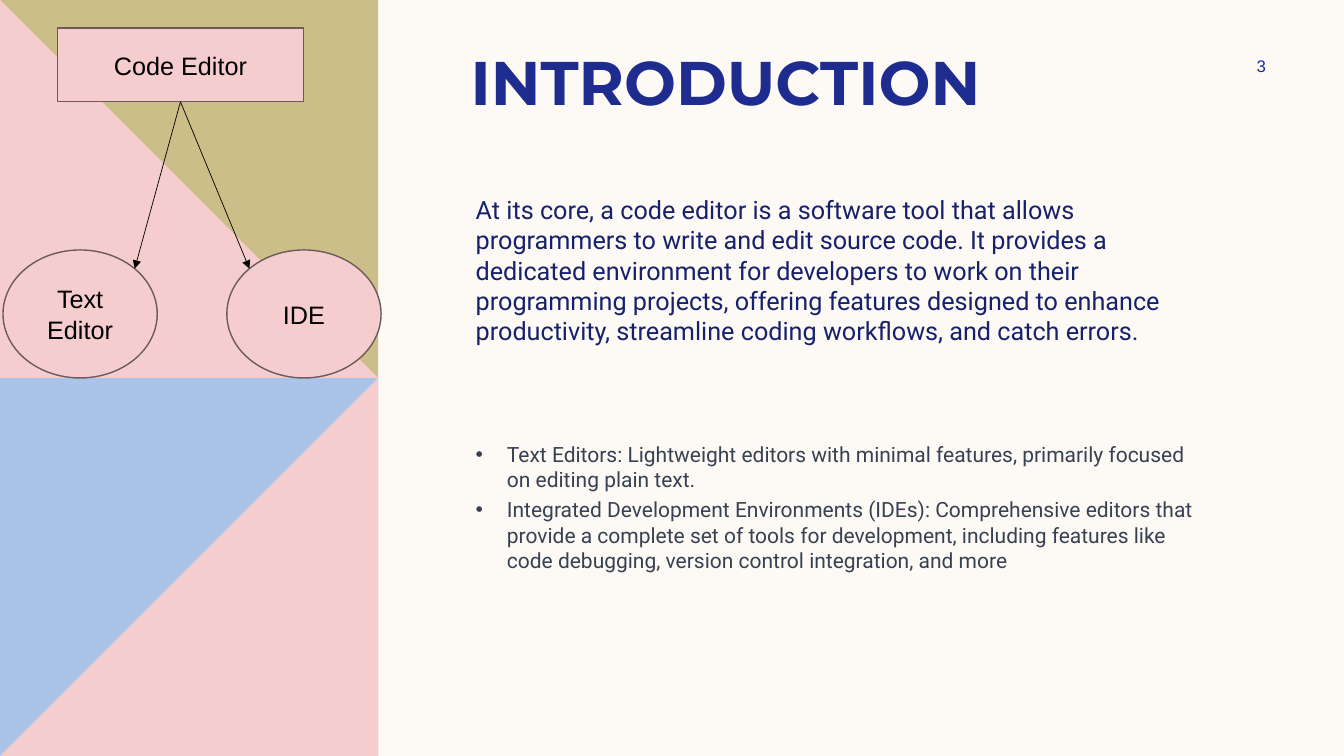
from math import sqrt

from lxml.etree import SubElement
from pptx import Presentation
from pptx.dml.color import RGBColor
from pptx.enum.shapes import MSO_CONNECTOR, MSO_SHAPE
from pptx.enum.text import MSO_ANCHOR, PP_ALIGN
from pptx.oxml.ns import qn
from pptx.util import Inches, Pt

COLORS = {name: RGBColor.from_string(value) for name, value in {
    "cream": "FDFAF6", "blue": "AAC3E8", "pink": "F5CDCE", "olive": "CCBE89",
    "title": "1F2C8F", "navy": "17216B", "slate": "374151",
    "outline": "6B5A5A", "black": "000000"}.items()}

deck = Presentation()
deck.slide_width, deck.slide_height = Inches(13.33), Inches(7.5)
page = deck.slides.add_slide(deck.slide_layouts[6])
page.background.fill.solid()
page.background.fill.fore_color.rgb = COLORS["cream"]
tile = deck.slide_height // 2


def add_filled(kind, left, top, width, height, fill, label=None):
    """Draw a flat shape; a labelled one also gets an outline."""
    shape = page.shapes.add_shape(kind, left, top, width, height)
    shape.shadow.inherit = False
    shape.fill.solid()
    shape.fill.fore_color.rgb = COLORS[fill]
    if label is None:
        shape.line.fill.background()
        return shape
    shape.line.color.rgb = COLORS["outline"]
    shape.line.width = Pt(1)
    shape.text_frame.vertical_anchor = MSO_ANCHOR.MIDDLE
    write(shape.text_frame.paragraphs[0], label, "Arial", 18, "black", PP_ALIGN.CENTER)
    return shape


def write(para, text, font, size, color, align=PP_ALIGN.LEFT):
    para.text = text
    para.alignment = align
    para.font.name, para.font.size = font, Pt(size)
    para.font.color.rgb = COLORS[color]


# Left panel: two square tiles, each half covered by a pink triangle
for row, (fill, rotation) in enumerate([("olive", 0), ("blue", 270)]):
    add_filled(MSO_SHAPE.RECTANGLE, 0, row * tile, tile, tile, fill)
    triangle = add_filled(MSO_SHAPE.RIGHT_TRIANGLE, 0, row * tile, tile, tile, "pink")
    triangle.rotation = rotation

# Text boxes
frames = []
for left, top, width, height, anchor in [
        (4.57, 0.38, 7.4, 0.84, MSO_ANCHOR.MIDDLE),
        (4.62, 1.88, 7.4, 4.5, MSO_ANCHOR.TOP),
        (11.97, 0.5, 1.08, 0.3, MSO_ANCHOR.MIDDLE)]:
    box = page.shapes.add_textbox(Inches(left), Inches(top), Inches(width), Inches(height))
    box.text_frame.word_wrap = True
    box.text_frame.vertical_anchor = anchor
    frames.append(box.text_frame)
title, body, number = frames

write(title.paragraphs[0], "INTRODUCTION", "Montserrat", 44, "title")
title.paragraphs[0].font.bold = True
write(number.paragraphs[0], "3", "Arial", 12, "title", PP_ALIGN.CENTER)

# Body: lead paragraph, then bullets
lead = body.paragraphs[0]
write(lead, "At its core, a code editor is a software tool that allows programmers to "
      "write and edit source code. It provides a dedicated environment for developers "
      "to work on their programming projects, offering features designed to enhance "
      "productivity, streamline coding workflows, and catch errors.",
      "Roboto", 18, "navy")
lead.space_before = Pt(3.6)

bullets = [
    ("Text Editors: Lightweight editors with minimal features, primarily focused "
     "on editing plain text.", 68.4),
    ("Integrated Development Environments (IDEs): Comprehensive editors that provide "
     "a complete set of tools for development, including features like code "
     "debugging, version control integration, and more", 3.6)]
for text, gap in bullets:
    para = body.add_paragraph()
    write(para, text, "Roboto", 15, "slate")
    para.space_before = Pt(gap)
    properties = para._p.get_or_add_pPr()
    properties.set("marL", str(Inches(0.31)))
    properties.set("indent", str(-Inches(0.31)))
    bullet_font = properties.makeelement(qn("a:buFont"), {"typeface": "Arial"})
    bullet_char = properties.makeelement(qn("a:buChar"), {"char": "•"})
    properties.find(qn("a:defRPr")).addprevious(bullet_font)
    bullet_font.addnext(bullet_char)

# Diagram: Code Editor branches into two kinds
root = add_filled(MSO_SHAPE.RECTANGLE, Inches(0.57), Inches(0.28),
                  Inches(2.44), Inches(0.73), "pink", "Code Editor")
corner = (1 - sqrt(0.5)) / 2  # where an ellipse meets its diagonal
for label, left, share in [("Text Editor", 0.03, 1 - corner), ("IDE", 2.25, corner)]:
    leaf = add_filled(MSO_SHAPE.OVAL, Inches(left), Inches(2.48),
                      Inches(1.53), Inches(1.27), "pink", label)
    arrow = page.shapes.add_connector(
        MSO_CONNECTOR.STRAIGHT, root.left + root.width // 2, root.top + root.height,
        int(leaf.left + share * leaf.width), int(leaf.top + corner * leaf.height))
    arrow.begin_connect(root, 2)
    arrow.line.color.rgb = COLORS["black"]
    arrow.line.width = Pt(0.5)
    SubElement(arrow.line._get_or_add_ln(), qn("a:tailEnd"), type="triangle")
    SubElement(arrow._element.spPr, qn("a:effectLst"))

deck.save("out.pptx")
